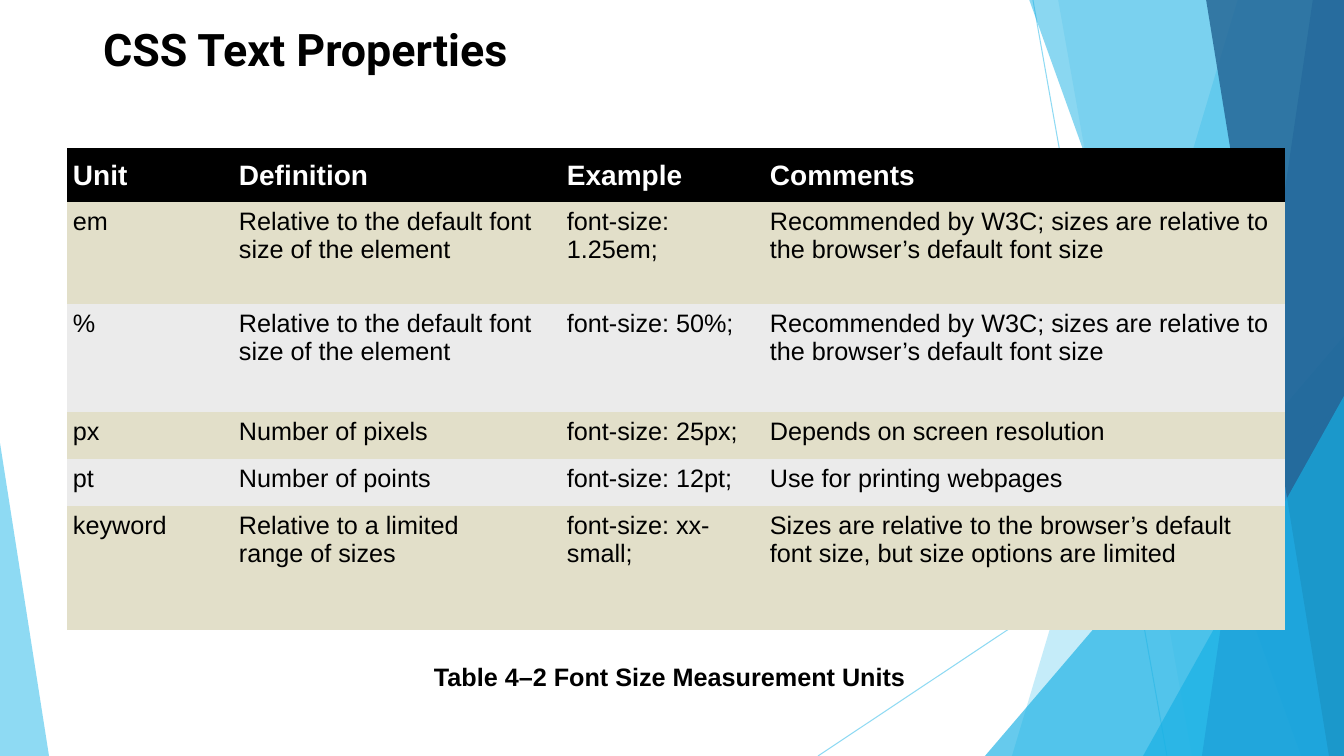
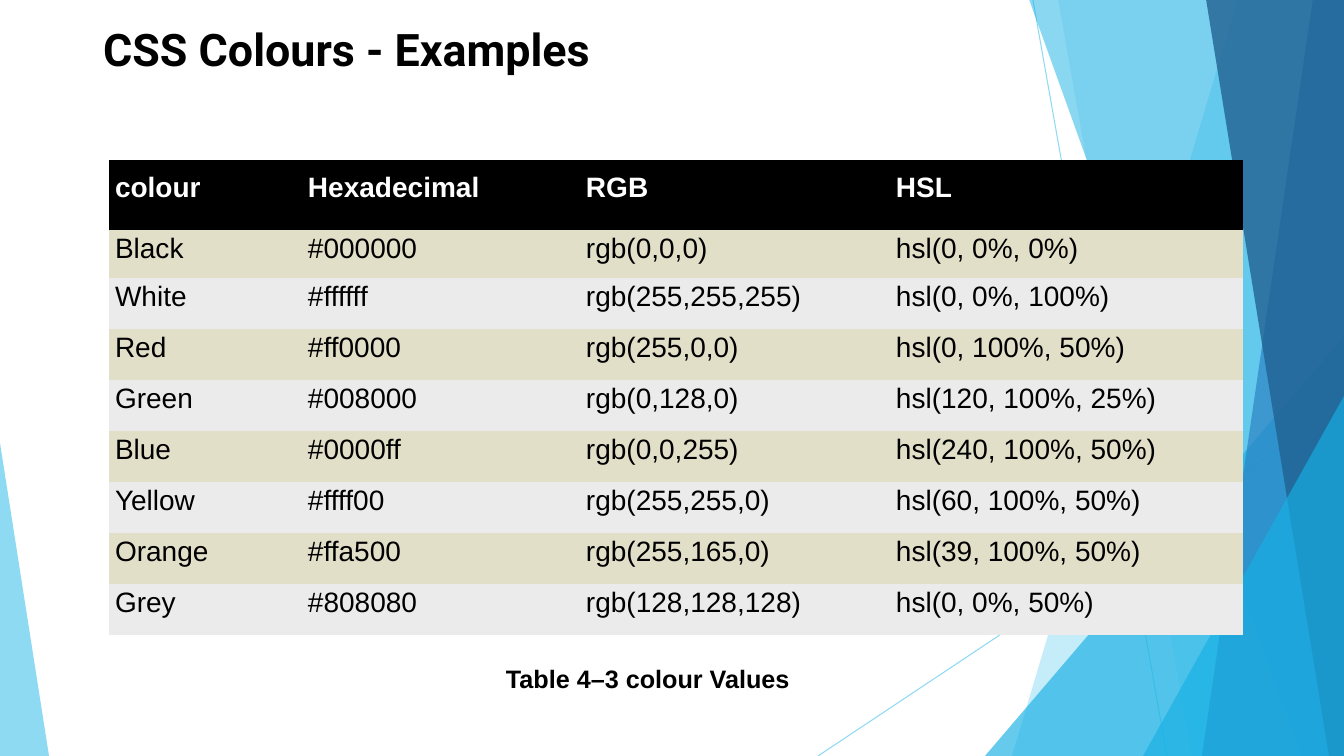
from dataclasses import dataclass

from lxml import etree
from pptx import Presentation
from pptx.dml.color import RGBColor
from pptx.enum.shapes import MSO_CONNECTOR, MSO_SHAPE
from pptx.enum.text import MSO_ANCHOR, MSO_AUTO_SIZE, PP_ALIGN
from pptx.oxml.ns import qn
from pptx.util import Pt

LEFT = PP_ALIGN.LEFT
TOP = MSO_ANCHOR.TOP
FIXED = MSO_AUTO_SIZE.NONE
STRAIGHT = MSO_CONNECTOR.STRAIGHT
TRIANGLE = MSO_SHAPE.ISOSCELES_TRIANGLE

SCALE = 914400 / 100.8
WIDE, HIGH = 1344, 756
PLAIN = "{2D5ABB26-0587-4C30-8999-92F81FD0307C}"


@dataclass(frozen=True)
class Theme:
    black: str = "000000"
    white: str = "FFFFFF"
    sand: str = "E2DFC9"
    mist: str = "EBEBEB"
    sky: str = "5FCBEF"
    cyan: str = "17B0E4"
    blue: str = "2E83C3"
    navy: str = "226292"
    head: str = "Roboto"
    body: str = "Arial"
    title: int = 32
    large: int = 20
    small: int = 18
    lead: int = 20


@dataclass(frozen=True)
class Band:
    top: int
    base: int
    color: str
    alpha: int


@dataclass(frozen=True)
class Wedge:
    left: int
    top: int
    width: int
    apex: int
    color: str
    alpha: int


@dataclass(frozen=True)
class Line:
    x1: int
    y1: int
    x2: int
    y2: int


@dataclass(frozen=True)
class Grid:
    left: int
    top: int
    cols: tuple[int, ...]
    rows: tuple[int, ...]
    size: int
    cells: tuple[tuple[str, ...], ...]


@dataclass(frozen=True)
class Label:
    text: str
    left: int
    top: int
    width: int


@dataclass(frozen=True)
class Page:
    title: str
    grid: Grid
    label: Label


THEME = Theme()

LINES = (Line(1033, 0, 1167, HIGH), Line(WIDE, 406, 818, HIGH))

PANES = (
    Band(1238, 1012, THEME.sky, 36),
    Band(1058, 1192, THEME.sky, 20),
    Wedge(985, 336, 359, 1, THEME.cyan, 66),
    Band(1029, 1301, THEME.cyan, 50),
    Band(1313, 1202, THEME.blue, 70),
    Band(1206, 1329, THEME.navy, 80),
    Wedge(1143, 396, 201, 1, THEME.cyan, 66),
    Wedge(0, 443, 49, 0, THEME.sky, 70),
)

BASE = "Relative to the default font size of the element"
ADVICE = "Recommended by W3C; sizes are relative to the browser’s default font size"

PAGES = (
    Page(
        "CSS Text Properties",
        Grid(67, 148, (166, 328, 203, 521), (54, 102, 108, 47, 47, 124), THEME.small, (
            ("Unit", "Definition", "Example", "Comments"),
            ("em", BASE, "font-size: 1.25em;", ADVICE),
            ("%", BASE, "font-size: 50%;", ADVICE),
            ("px", "Number of pixels", "font-size: 25px;", "Depends on screen resolution"),
            ("pt", "Number of points", "font-size: 12pt;", "Use for printing webpages"),
            ("keyword", "Relative to a limited\nrange of sizes", "font-size: xx-small;",
             "Sizes are relative to the browser’s default font size, but size options are limited"),
        )),
        Label("Table 4–2 Font Size Measurement Units", 424, 656, 495),
    ),
    Page(
        "CSS Colours - Examples",
        Grid(109, 160, (193, 278, 310, 353), (70, 48) + (51,) * 7, THEME.large, (
            ("colour", "Hexadecimal", "RGB", "HSL"),
            ("Black", "#000000", "rgb(0,0,0)", "hsl(0, 0%, 0%)"),
            ("White", "#ffffff", "rgb(255,255,255)", "hsl(0, 0%, 100%)"),
            ("Red", "#ff0000", "rgb(255,0,0)", "hsl(0, 100%, 50%)"),
            ("Green", "#008000", "rgb(0,128,0)", "hsl(120, 100%, 25%)"),
            ("Blue", "#0000ff", "rgb(0,0,255)", "hsl(240, 100%, 50%)"),
            ("Yellow", "#ffff00", "rgb(255,255,0)", "hsl(60, 100%, 50%)"),
            ("Orange", "#ffa500", "rgb(255,165,0)", "hsl(39, 100%, 50%)"),
            ("Grey", "#808080", "rgb(128,128,128)", "hsl(0, 0%, 50%)"),
        )),
        Label("Table 4–3 colour Values", 496, 658, 313),
    ),
)


def px(count: int) -> int:
    return round(count * SCALE)


def paint(fill, color: str) -> None:
    fill.solid()
    fill.fore_color.rgb = RGBColor.from_string(color)


def fade(shape, alpha: int) -> None:
    for node in shape.element.iter(qn("a:srgbClr")):
        etree.SubElement(node, qn("a:alpha"), val=str(alpha * 1000))


def write(frame, text: str, face: str, size: int, color: str, bold: bool):
    para = frame.paragraphs[0]
    para.text = text
    para.alignment = LEFT
    para.font.name = face
    para.font.size = Pt(size)
    para.font.bold = bold
    para.font.color.rgb = RGBColor.from_string(color)
    return para


def draw_line(slide, line: Line):
    wire = slide.shapes.add_connector(
        STRAIGHT, px(line.x1), px(line.y1), px(line.x2), px(line.y2))
    wire.line.width = Pt(0.75)
    paint(wire.line.fill, THEME.sky)
    fade(wire, 70)
    etree.SubElement(wire.element.spPr, qn("a:effectLst"))
    return wire


def draw_pane(slide, pane: Band | Wedge):
    if isinstance(pane, Band):
        path = slide.shapes.build_freeform(pane.top, -1, scale=SCALE)
        path.add_line_segments(((WIDE, -1), (WIDE, HIGH), (pane.base, HIGH)), close=True)
        shape = path.convert_to_shape()
    else:
        shape = slide.shapes.add_shape(
            TRIANGLE, px(pane.left), px(pane.top), px(pane.width), px(HIGH - pane.top))
        shape.adjustments[0] = pane.apex
    shape.shadow.inherit = False
    shape.line.fill.background()
    paint(shape.fill, pane.color)
    fade(shape, pane.alpha)
    return shape


def dress(slide) -> None:
    tree = slide.slide_layout.shapes.element
    parts = [draw_line(slide, line) for line in LINES]
    parts += [draw_pane(slide, pane) for pane in PANES]
    for part in parts:
        tree.append(part.element)
    for num, node in enumerate(tree.iter(qn("p:cNvPr")), 1):
        node.set("id", str(num))


def draw_title(slide, text: str) -> None:
    title = slide.shapes.title
    title.left, title.top = px(93), px(17)
    title.width, title.height = px(1159), px(101)
    frame = title.text_frame
    frame.word_wrap = True
    frame.auto_size = FIXED
    frame.vertical_anchor = TOP
    write(frame, text, THEME.head, THEME.title, THEME.black, True)


def draw_grid(slide, grid: Grid) -> None:
    frame = slide.shapes.add_table(
        len(grid.rows), len(grid.cols), px(grid.left), px(grid.top),
        px(sum(grid.cols)), px(sum(grid.rows)))
    next(frame.element.iter(qn("a:tableStyleId"))).text = PLAIN
    table = frame.table
    for col, width in zip(table.columns, grid.cols):
        col.width = px(width)
    for num, (row, height, texts) in enumerate(zip(table.rows, grid.rows, grid.cells)):
        row.height = px(height)
        head = num == 0
        back = THEME.black if head else (THEME.mist, THEME.sand)[num % 2]
        for cell, text in zip(row.cells, texts):
            cell.margin_left = cell.margin_right = px(6)
            cell.margin_top = cell.margin_bottom = px(6)
            cell.vertical_anchor = TOP
            paint(cell.fill, back)
            para = write(
                cell.text_frame, text, THEME.body, THEME.large if head else grid.size,
                THEME.white if head else THEME.black, head)
            para.line_spacing = 1.2 if head else Pt(THEME.lead)


def draw_label(slide, label: Label) -> None:
    box = slide.shapes.add_textbox(px(label.left), px(label.top), px(label.width), px(40))
    box.text_frame.word_wrap = True
    write(box.text_frame, label.text, THEME.body, THEME.small, THEME.black, True)


def main() -> None:
    deck = Presentation()
    deck.slide_width, deck.slide_height = px(WIDE), px(HIGH)
    layout = deck.slide_layouts.get_by_name("Title Only")
    for num, page in enumerate(PAGES):
        slide = deck.slides.add_slide(layout)
        if num == 0:
            dress(slide)
        draw_title(slide, page.title)
        draw_grid(slide, page.grid)
        draw_label(slide, page.label)
    deck.save("out.pptx")


if __name__ == "__main__":
    main()
